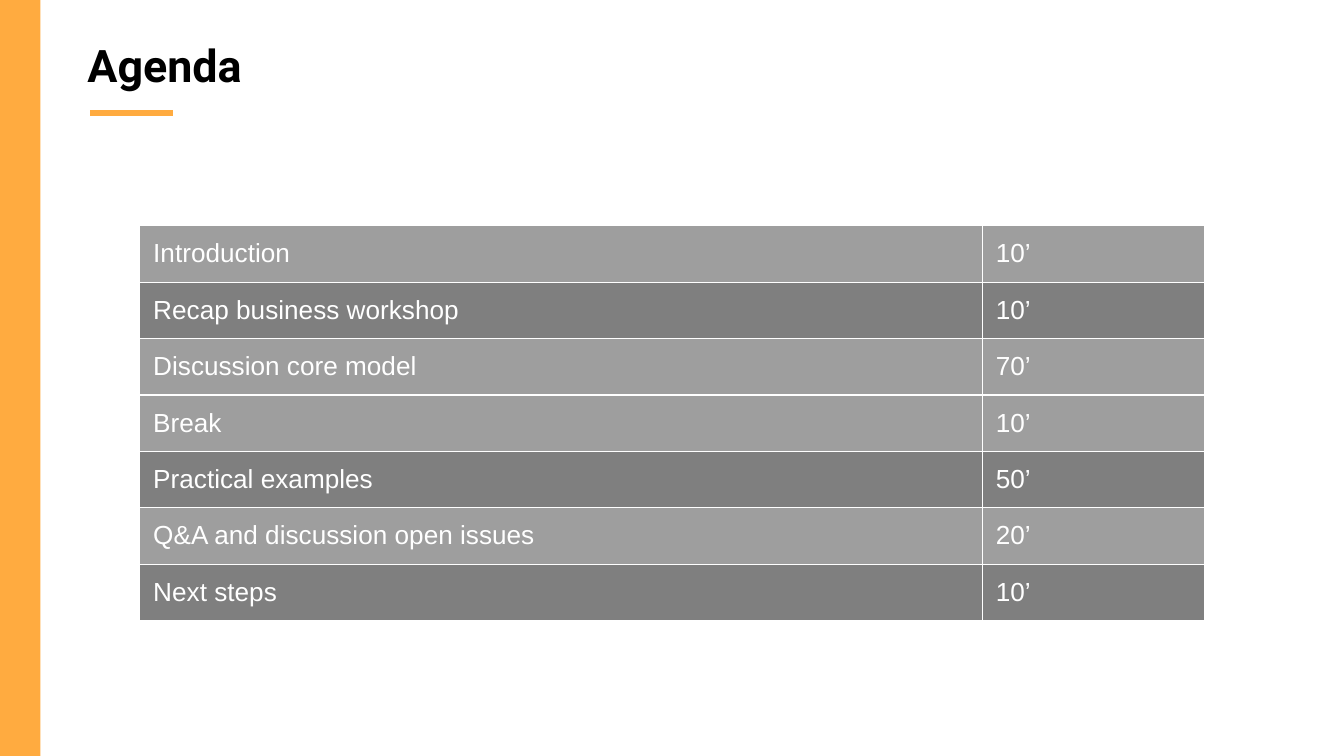
import pptx
import pptx.dml.color
import pptx.enum.shapes
import pptx.enum.text
import pptx.oxml
import pptx.oxml.ns
import pptx.util
from pptx.util import Inches

COLORS = {
    "accent": "FFAB40",
    "title": "000000",
    "light_row": "9E9E9E",
    "dark_row": "7F7F7F",
    "white": "FFFFFF",
}

AGENDA = [
    ("Introduction", "10’", "light_row"),
    ("Recap business workshop", "10’", "dark_row"),
    ("Discussion core model", "70’", "light_row"),
    ("Break", "10’", "light_row"),
    ("Practical examples", "50’", "dark_row"),
    ("Q&A and discussion open issues", "20’", "light_row"),
    ("Next steps", "10’", "dark_row"),
]
COLUMN_WIDTHS = (6.27, 1.65)
ROW_HEIGHT = 0.42


def rgb(name):
    return pptx.dml.color.RGBColor.from_string(COLORS[name])


def set_margins(target):
    for side in ("left", "top", "right", "bottom"):
        setattr(target, f"margin_{side}", Inches(0.1))


def style_paragraph(paragraph, font_name, size, color, bold=False):
    paragraph.alignment = pptx.enum.text.PP_ALIGN.LEFT
    font = paragraph.font
    font.name = font_name
    font.size = pptx.util.Pt(size)
    font.bold = bold
    font.color.rgb = rgb(color)


def set_title(slide, text):
    title = slide.shapes.title
    title.left, title.top = Inches(0.55), Inches(0.18)
    title.width, title.height = Inches(7.75), Inches(0.48)
    frame = title.text_frame
    frame.text = text
    frame.word_wrap = True
    frame.auto_size = pptx.enum.text.MSO_AUTO_SIZE.NONE
    frame.vertical_anchor = pptx.enum.text.MSO_ANCHOR.TOP
    set_margins(frame)
    style_paragraph(frame.paragraphs[0], "Roboto", 24, "title", bold=True)


def add_title_rule(slide):
    rule = slide.shapes.add_connector(
        pptx.enum.shapes.MSO_CONNECTOR.STRAIGHT,
        Inches(0.67), Inches(0.84), Inches(1.29), Inches(0.84),
    )
    rule.line.color.rgb = rgb("accent")
    rule.line.width = pptx.util.Pt(3)
    rule._element.spPr.append(pptx.oxml.parse_xml(
        f'<a:effectLst {pptx.oxml.ns.nsdecls("a")}/>'
    ))


def add_cell_borders(cell):
    properties = cell._tc.get_or_add_tcPr()
    for position, edge in enumerate(("lnL", "lnR", "lnT", "lnB")):
        border = pptx.oxml.parse_xml(
            f'<a:{edge} {pptx.oxml.ns.nsdecls("a")} w="{pptx.util.Pt(0.75)}">'
            f'<a:solidFill><a:srgbClr val="{COLORS["white"]}"/></a:solidFill>'
            f'</a:{edge}>'
        )
        properties.insert(position, border)


def fill_cell(cell, text, color):
    cell.text = text
    cell.fill.solid()
    cell.fill.fore_color.rgb = rgb(color)
    set_margins(cell)
    style_paragraph(cell.text_frame.paragraphs[0], "Arial", 14, "white")
    add_cell_borders(cell)


def add_agenda_table(slide):
    agenda = slide.shapes.add_table(
        len(AGENDA), len(COLUMN_WIDTHS), Inches(1.04), Inches(1.68),
        Inches(sum(COLUMN_WIDTHS)), Inches(ROW_HEIGHT * len(AGENDA)),
    ).table
    agenda.first_row = False
    agenda.horz_banding = False
    for column, width in zip(agenda.columns, COLUMN_WIDTHS):
        column.width = Inches(width)
    for row, (topic, duration, color) in zip(agenda.rows, AGENDA):
        row.height = Inches(ROW_HEIGHT)
        for cell, text in zip(row.cells, (topic, duration)):
            fill_cell(cell, text, color)


def add_side_bar(slide):
    side_bar = slide.shapes.add_shape(
        pptx.enum.shapes.MSO_SHAPE.RECTANGLE,
        Inches(-2.67), Inches(2.66), Inches(5.64), Inches(0.3),
    )
    side_bar.rotation = 90
    side_bar.shadow.inherit = False
    side_bar.fill.solid()
    side_bar.fill.fore_color.rgb = rgb("accent")
    side_bar.line.fill.background()


def main():
    presentation = pptx.Presentation()
    presentation.slide_width = Inches(10)
    presentation.slide_height = presentation.slide_width * 9 // 16
    slide = presentation.slides.add_slide(presentation.slide_layouts[5])
    set_title(slide, "Agenda")
    add_title_rule(slide)
    add_agenda_table(slide)
    add_side_bar(slide)
    presentation.save("out.pptx")


if __name__ == "__main__":
    main()
